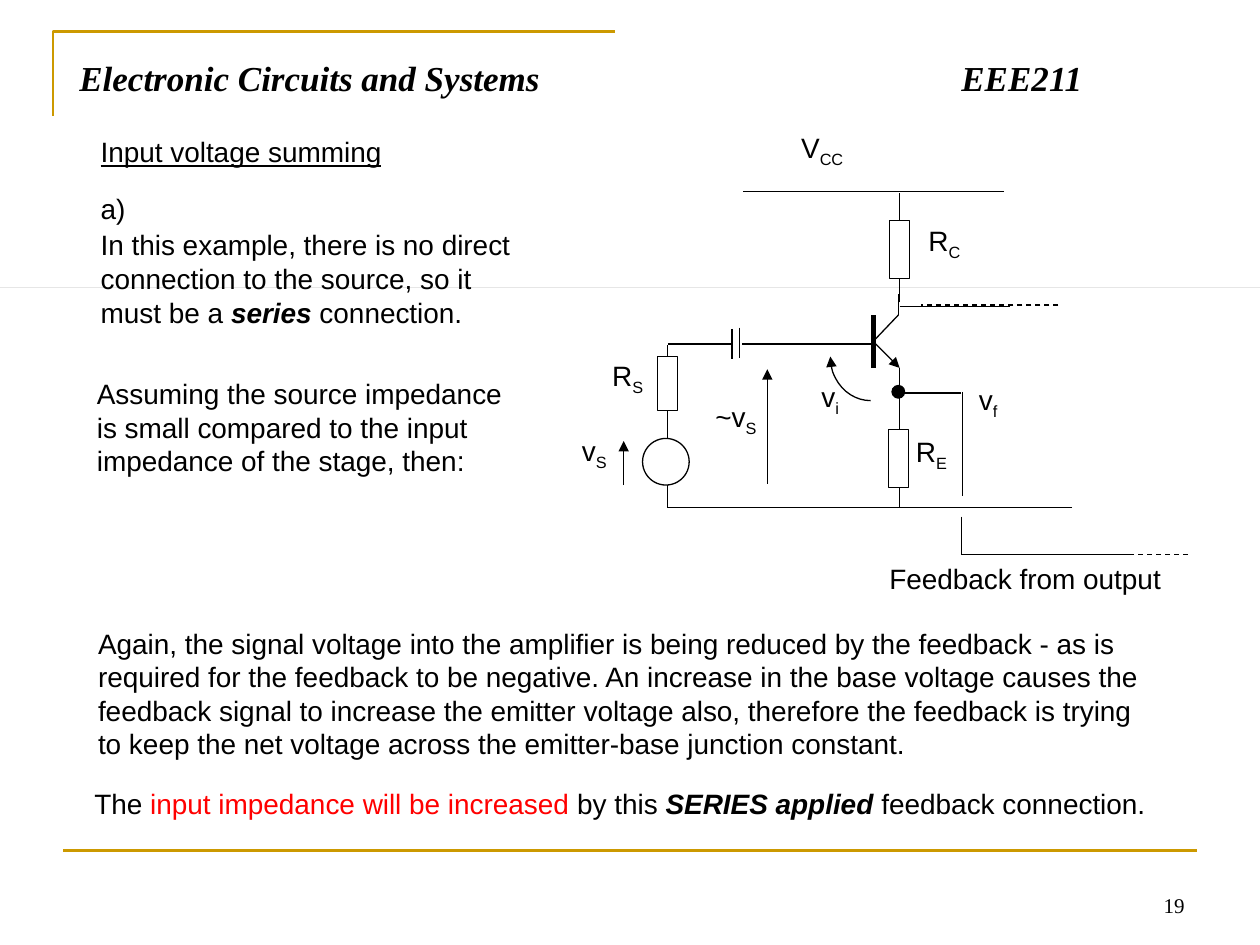
from dataclasses import dataclass

from lxml.etree import SubElement
from pptx import Presentation
from pptx.dml.color import RGBColor
from pptx.enum.dml import MSO_LINE
from pptx.enum.shapes import MSO_CONNECTOR, MSO_SHAPE
from pptx.enum.text import MSO_ANCHOR, MSO_AUTO_SIZE, PP_ALIGN
from pptx.oxml.ns import qn
from pptx.util import Inches, Pt


@dataclass(frozen=True)
class Theme:
    ink: str = "000000"
    paper: str = "FFFFFF"
    gold: str = "CC9900"
    red: str = "FF0000"
    faint: str = "E6E6E6"
    body_font: str = "Arial"
    serif_font: str = "Times New Roman"
    title_size: float = 20
    body_size: float = 16
    number_size: float = 12
    leading: float = 1.2
    wire: float = 0.75
    frame: float = 1.5
    base_bar: float = 3


def span(text, color=None, bold=False, italic=False, underline=False, subscript=False):
    """Describe one piece of text and its format."""
    return dict(text=text, color=color, bold=bold, italic=italic,
                underline=underline, subscript=subscript)


class SlideBuilder:
    def __init__(self, page, theme):
        self.page = page
        self.theme = theme

    def fill_text(self, frame, spans, size, font, align=PP_ALIGN.LEFT):
        para = frame.paragraphs[0]
        para.alignment = align
        para.line_spacing = Pt(size * self.theme.leading)
        para.space_before = Pt(0)
        for item in spans:
            run = para.add_run()
            run.text = item["text"]
            run.font.name = font
            run.font.size = Pt(size)
            run.font.bold = item["bold"]
            run.font.italic = item["italic"]
            run.font.underline = item["underline"]
            run.font.color.rgb = RGBColor.from_string(item["color"] or self.theme.ink)
            if item["subscript"]:
                run.font._element.set("baseline", "-25000")

    def title(self, left, top, width, height, text, tab):
        box = self.page.shapes.title
        box.left, box.top = Inches(left), Inches(top)
        box.width, box.height = Inches(width), Inches(height)
        frame = box.text_frame
        frame.auto_size = MSO_AUTO_SIZE.NONE
        frame.vertical_anchor = MSO_ANCHOR.TOP
        stops = SubElement(frame.paragraphs[0]._p.get_or_add_pPr(), qn("a:tabLst"))
        SubElement(stops, qn("a:tab"), pos=str(Inches(tab)), algn="l")
        self.fill_text(frame, [span(text, bold=True, italic=True)],
                       self.theme.title_size, self.theme.serif_font)

    def text(self, left, top, width, height, *spans):
        box = self.page.shapes.add_textbox(
            Inches(left), Inches(top), Inches(width), Inches(height))
        box.text_frame.word_wrap = True
        self.fill_text(box.text_frame, spans, self.theme.body_size, self.theme.body_font)

    def page_number(self, left, top, width, height, text):
        box = self.page.shapes.add_textbox(
            Inches(left), Inches(top), Inches(width), Inches(height))
        box.text_frame.word_wrap = True
        box.text_frame.vertical_anchor = MSO_ANCHOR.BOTTOM
        self.fill_text(box.text_frame, [span(text)], self.theme.number_size,
                       self.theme.serif_font, PP_ALIGN.RIGHT)

    def stroke(self, line, color, width, dashed=False, arrow=False):
        line.color.rgb = RGBColor.from_string(color)
        line.width = Pt(width)
        if dashed:
            line.dash_style = MSO_LINE.DASH
        if arrow:
            SubElement(line._get_or_add_ln(), qn("a:tailEnd"), type="triangle")

    def line(self, x1, y1, x2, y2, color=None, width=None, **style):
        link = self.page.shapes.add_connector(
            MSO_CONNECTOR.STRAIGHT, Inches(x1), Inches(y1), Inches(x2), Inches(y2))
        self.stroke(link.line, color or self.theme.ink, width or self.theme.wire, **style)
        SubElement(link._element.spPr, qn("a:effectLst"))

    def shape(self, kind, left, top, width, height, fill=None):
        part = self.page.shapes.add_shape(
            kind, Inches(left), Inches(top), Inches(width), Inches(height))
        part.shadow.inherit = False
        part.fill.solid()
        part.fill.fore_color.rgb = RGBColor.from_string(fill or self.theme.paper)
        self.stroke(part.line, self.theme.ink, self.theme.wire)

    def arc_arrow(self, left, top, width, height, start, end):
        arc = self.page.shapes.add_shape(
            MSO_SHAPE.ARC, Inches(left), Inches(top), Inches(width), Inches(height))
        # Angles are stored in 60000ths of a degree, adjustments in 100000ths
        arc.adjustments[0] = start * 0.6
        arc.adjustments[1] = end * 0.6
        arc.shadow.inherit = False
        arc.fill.background()
        self.stroke(arc.line, self.theme.ink, self.theme.wire, arrow=True)

    def corner(self, *points):
        corners = [(Inches(x), Inches(y)) for x, y in points]
        builder = self.page.shapes.build_freeform(*corners[0])
        builder.add_line_segments(corners[1:], close=False)
        outline = builder.convert_to_shape()
        outline.shadow.inherit = False
        outline.fill.background()
        self.stroke(outline.line, self.theme.gold, self.theme.frame)


def main():
    deck = Presentation()
    deck.slide_width, deck.slide_height = Inches(10), Inches(7.5)
    theme = Theme()
    slide = SlideBuilder(deck.slides.add_slide(deck.slide_layouts[5]), theme)

    # Frame, title and page number
    slide.corner((0.42, 0.92), (0.42, 0.25), (4.88, 0.25))
    slide.line(0.5, 6.75, 9.5, 6.75, color=theme.gold, width=theme.frame)
    slide.line(0, 2.28, 10, 2.28, color=theme.faint)
    slide.title(0.53, 0.4, 8.92, 0.61, "Electronic Circuits and Systems\tEEE211", tab=7)
    slide.page_number(7.17, 6.83, 2.33, 0.5, "19")

    # Explanation
    slide.text(0.7, 1.02, 3.84, 0.37, span("Input voltage summing", underline=True))
    slide.text(0.7, 1.47, 0.65, 0.37, span("a)"))
    slide.text(0.7, 1.76, 3.59, 0.9,
               span("In this example, there is no direct connection to the source, "
                    "so it must be a "),
               span("series", bold=True, italic=True), span(" connection."))
    slide.text(0.67, 2.94, 3.59, 0.9,
               span("Assuming the source impedance is small compared to the input "
                    "impedance of the stage, then:"))
    slide.text(0.68, 4.92, 8.63, 1.17,
               span("Again, the signal voltage into the amplifier is being reduced by the "
                    "feedback - as is required for the feedback to be negative. An increase "
                    "in the base voltage causes the feedback signal to increase the emitter "
                    "voltage also, therefore the feedback is trying to keep the net voltage "
                    "across the emitter-base junction constant."))
    slide.text(0.65, 6.19, 8.81, 0.37,
               span("The "), span("input impedance will be increased ", color=theme.red),
               span("by this "), span("SERIES applied ", bold=True, italic=True),
               span("feedback connection."))

    # Circuit wires
    wires = [
        (7.97, 1.52, 5.9, 1.52), (8.51, 4.03, 5.29, 4.03),    # supply and ground rails
        (7.14, 2.4, 7.14, 1.53), (7.13, 2.5, 7.13, 2.33),     # collector
        (7.14, 2.43, 8.02, 2.43),
        (7.14, 3.09, 7.14, 2.92), (7.14, 3.01, 7.14, 4.03),   # emitter
        (5.3, 2.74, 5.3, 4.03), (5.81, 2.73, 5.3, 2.73),      # source and base
        (6.77, 2.73, 5.89, 2.73), (6.92, 2.73, 6.74, 2.73),
        (7.63, 3.12, 7.12, 3.12), (7.64, 3.11, 7.64, 3.94),   # feedback
        (7.63, 4.1, 7.63, 4.4), (8.98, 4.4, 7.63, 4.4),
        (5.81, 2.61, 5.81, 2.85), (5.87, 2.6, 5.87, 2.84),    # capacitor plates
    ]
    for wire in wires:
        slide.line(*wire)
    slide.line(8.4, 2.42, 7.31, 2.42, dashed=True)
    slide.line(9.43, 4.4, 8.34, 4.4, dashed=True)

    # Transistor
    slide.line(6.93, 2.5, 6.93, 2.92, width=theme.base_bar)
    slide.line(6.93, 2.71, 7.13, 2.5)
    slide.line(6.94, 2.72, 7.14, 2.92, arrow=True)

    # Resistors, source and junction
    for left, top, height in [(7.06, 1.75, 0.46), (7.05, 3.41, 0.46), (5.22, 2.83, 0.43)]:
        slide.shape(MSO_SHAPE.RECTANGLE, left, top, 0.16, height)
    slide.shape(MSO_SHAPE.OVAL, 5.1, 3.48, 0.37, 0.37)
    slide.shape(MSO_SHAPE.OVAL, 7.08, 3.06, 0.1, 0.1, fill=theme.ink)

    # Voltage arrows
    slide.line(4.95, 3.85, 4.95, 3.5, arrow=True)
    slide.line(6.09, 3.84, 6.09, 2.93, arrow=True)
    slide.arc_arrow(6.59, 2.48, 0.64, 0.7, start=90, end=180)

    # Circuit labels
    labels = [
        (6.26, 1.02, 0.99, "V", "CC"), (7.27, 1.76, 0.59, "R", "C"),
        (7.17, 3.44, 0.51, "R", "E"), (4.76, 2.83, 0.47, "R", "S"),
        (4.52, 3.43, 0.47, "v", "S"), (5.58, 3.16, 0.55, "~v", "S"),
        (6.42, 3, 0.44, "v", "i"), (7.67, 3.02, 0.39, "v", "f"),
    ]
    for left, top, width, symbol, index in labels:
        slide.text(left, top, width, 0.37, span(symbol), span(index, subscript=True))
    slide.text(6.96, 4.41, 2.66, 0.37, span("Feedback from output"))

    deck.save("out.pptx")


if __name__ == "__main__":
    main()
